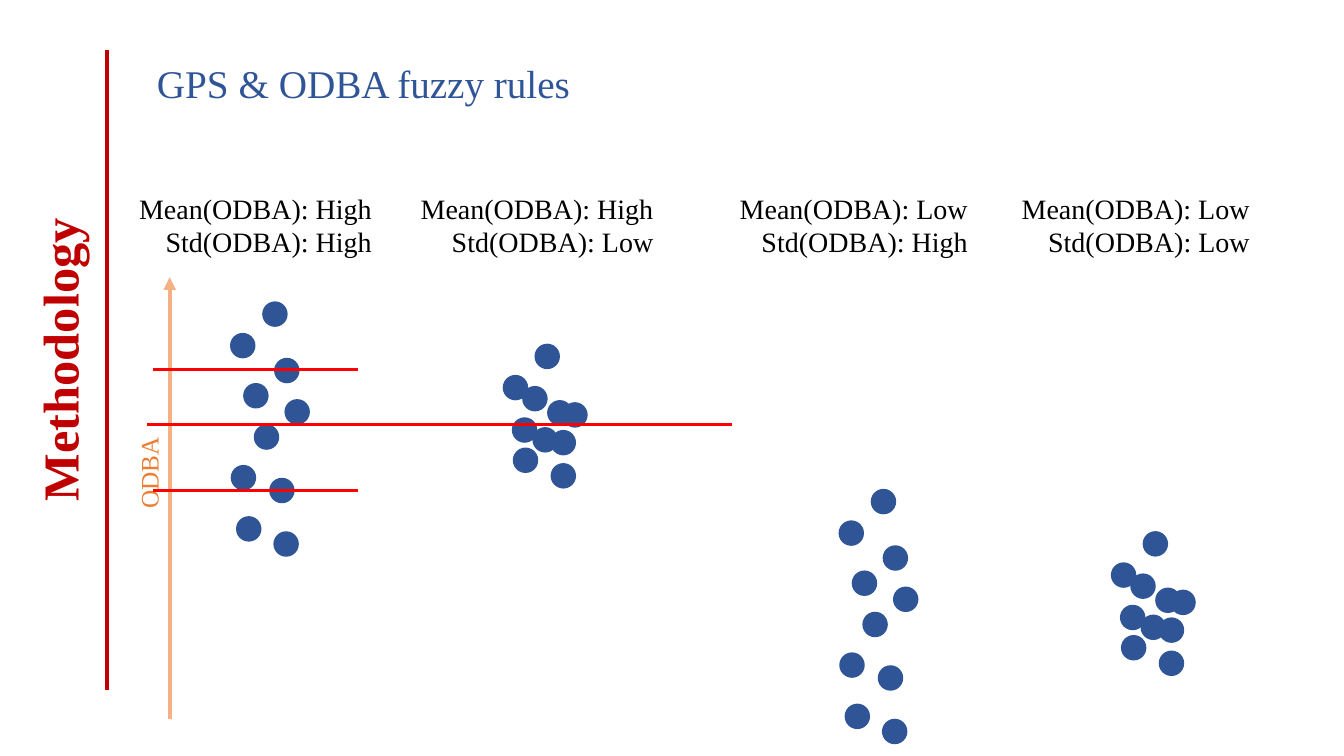
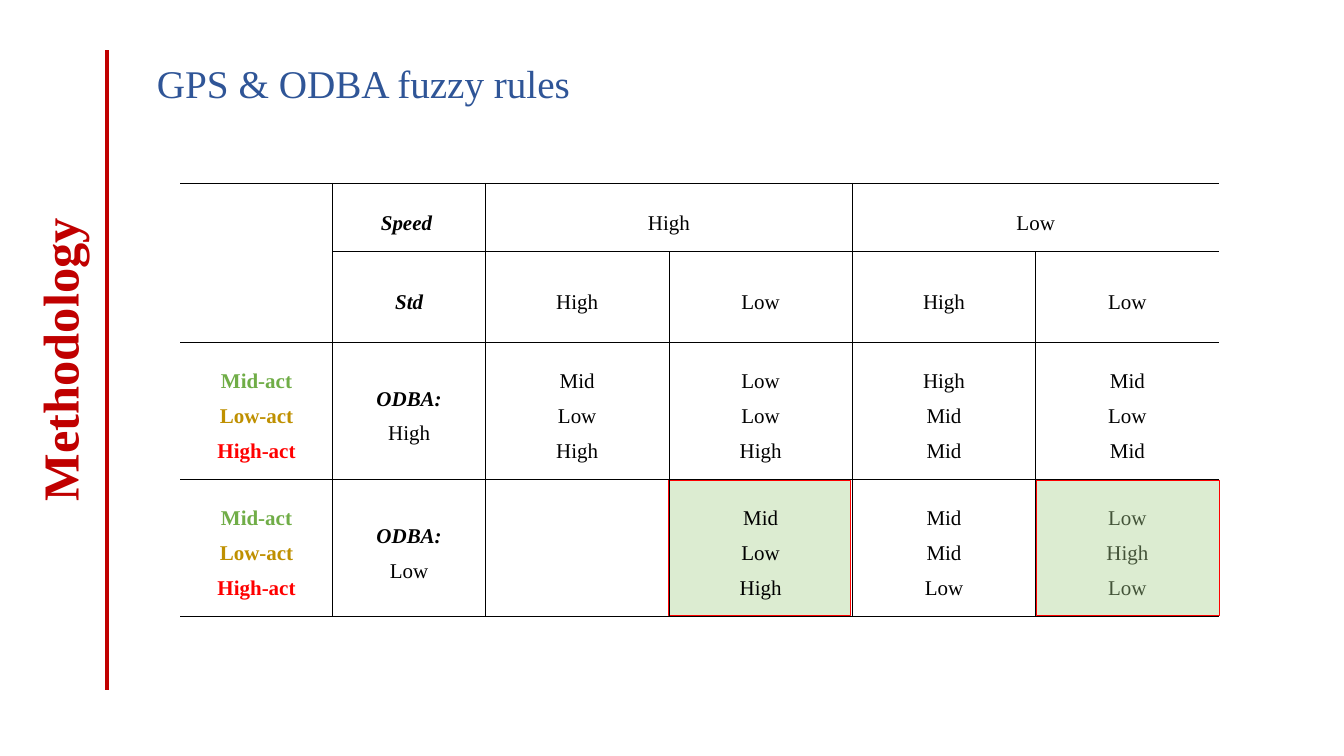
from lxml import etree
from pptx import Presentation
from pptx.dml.color import RGBColor
from pptx.enum.shapes import MSO_CONNECTOR, MSO_SHAPE
from pptx.enum.text import MSO_ANCHOR, PP_ALIGN
from pptx.oxml import parse_xml
from pptx.oxml.ns import nsdecls, qn
from pptx.util import Pt

# Shared look
FONT = "Times New Roman"
COLORS = {
    "section": "C00000", "blue": "2F5597", "text": "000000", "axis": "F4B183",
    "axis_label": "ED7D31", "red": "FF0000", "highlight": "A9D18E",
    "mid": "70AD47", "low": "BF9000",
}
SECTION = "Methodology"
TITLE = "GPS & ODBA fuzzy rules"

# Slide 1 content: dot offsets from each cluster's corner
DOT = 18.2
SPREAD = [(9.4, 58.3), (17, 87.8), (0.5, 116.8), (28, 126), (31.5, 40.3),
          (0, 22.5), (23, 0), (4.3, 153.4), (31, 164.2), (38.9, 69.8)]
COMPACT = [(13.9, 30.2), (21.2, 59.6), (6.5, 52.6), (34.2, 61.6), (31.7, 40.3),
           (0, 22.3), (22.7, 0), (7.2, 74.2), (34.2, 85.3), (42.5, 41.8)]
LABEL_WIDTH = 196
# mean, std, label's right edge, dots, cluster corner
CASES = [
    ("High", "High", 272.9, SPREAD, (164.4, 215.3)),
    ("High", "Low", 474.1, COMPACT, (359.3, 245.5)),
    ("Low", "High", 698.8, SPREAD, (599.3, 349.2)),
    ("Low", "Low", 900.3, COMPACT, (793.9, 379.4)),
]
LEVELS = [(105.1, 523.4, 303.1), (109.4, 255.6, 263.7), (109.4, 255.6, 350.2)]

# Slide 2 content
ACTIVITIES = "Mid-act\nLow-act\nHigh-act"
RULES = [
    ["", "Speed ", "High", "", "Low", ""],
    ["", "Std", "High", "Low", "High", "Low"],
    [ACTIVITIES, "ODBA:\nHigh", "Mid\nLow\nHigh", "Low\nLow\nHigh",
     "High\nMid\nMid", "Mid\nLow\nMid"],
    [ACTIVITIES, "ODBA:\nLow", "", "Mid\nLow\nHigh", "Mid\nMid\nLow",
     "Low\nHigh\nLow"],
]
MERGES = [((0, 0), (1, 0)), ((0, 2), (0, 3)), ((0, 4), (0, 5))]
ACTIVITY_COLORS = {"Mid-act": "mid", "Low-act": "low", "High-act": "red"}
HEADINGS = ("Speed", "Std", "ODBA:")
TABLE_LEFT, TABLE_TOP = 128.9, 130.8
COLUMNS = [108.9, 109.2] + [131.1] * 4
ROWS = [49, 64.6, 98, 98]
NO_STYLE = "{2D5ABB26-0587-4C30-8999-92F81FD0307C}"
HIGHLIGHT_BACK, HIGHLIGHT_FRONT = 477.4, 740.9


def rgb(name):
    return RGBColor.from_string(COLORS[name])


def style(paragraph, size, color, bold=False, italic=False):
    for run in paragraph.runs:
        font = run.font
        font.name, font.size, font.bold, font.italic = FONT, Pt(size), bold, italic
        font.color.rgb = rgb(color)


def add_text(slide, text, box, size, color, bold=False, align=PP_ALIGN.LEFT,
             rotation=0):
    label = slide.shapes.add_textbox(*map(Pt, box))
    label.rotation = rotation
    frame = label.text_frame
    frame.text = text
    frame.word_wrap = True
    for paragraph in frame.paragraphs:
        paragraph.alignment = align
        style(paragraph, size, color, bold)
    return frame


def add_line(slide, start, end, color, width, arrow=False):
    line = slide.shapes.add_connector(MSO_CONNECTOR.STRAIGHT, *map(Pt, start + end))
    line.line.color.rgb = rgb(color)
    line.line.width = Pt(width)
    if arrow:
        etree.SubElement(line.line._get_or_add_ln(), qn("a:tailEnd"), type="triangle")
    etree.SubElement(line._element.spPr, qn("a:effectLst"))


def add_filled(slide, kind, box, color):
    shape = slide.shapes.add_shape(kind, *map(Pt, box))
    shape.shadow.inherit = False
    shape.fill.solid()
    shape.fill.fore_color.rgb = rgb(color)
    shape.line.fill.background()
    return shape


def start_slide(deck):
    slide = deck.slides.add_slide(deck.slide_layouts[6])
    add_text(slide, SECTION, (-78.2, 219.8, 240, 50.4), 36, "section",
             bold=True, rotation=270)
    add_line(slide, (76.3, 36), (76.3, 493.2), "section", 3)
    title = add_text(slide, TITLE, (105.1, 36.5, 500, 72), 28, "blue")
    title.paragraphs[0].line_spacing = 1.07
    return slide


def build_clusters(deck):
    slide = start_slide(deck)
    add_line(slide, (121.3, 513.4), (121.3, 198), "axis", 3, arrow=True)
    for mean, std, right, dots, (x, y) in CASES:
        add_text(slide, f"Mean(ODBA): {mean}\nStd(ODBA): {std}",
                 (right - LABEL_WIDTH, 133, LABEL_WIDTH, 55.4), 20, "text",
                 align=PP_ALIGN.RIGHT)
        for dx, dy in dots:
            add_filled(slide, MSO_SHAPE.OVAL, (x + dx, y + dy, DOT, DOT), "blue")
    add_text(slide, "ODBA", (66.2, 316.1, 80, 28.8), 18, "axis_label", rotation=270)
    for left, right, y in LEVELS:
        add_line(slide, (left, y), (right, y), "red", 2.25)


def add_highlight(slide, left):
    highlight = add_filled(slide, MSO_SHAPE.RECTANGLE, (left, 343.4, 130.3, 96.5),
                           "highlight")
    tint = highlight._element.spPr.find(qn("a:solidFill"))[0]
    etree.SubElement(tint, qn("a:alpha"), val="40000")
    highlight.line.color.rgb = rgb("red")
    highlight.line.width = Pt(0.75)


def set_borders(cell, column):
    # The table stays open on its left and right sides
    outer = {"lnL": column == 0, "lnR": column + cell.span_width == len(COLUMNS)}
    for side in ("lnL", "lnR", "lnT", "lnB"):
        paint = ("<a:noFill/>" if outer.get(side) else
                 f'<a:solidFill><a:srgbClr val="{COLORS["text"]}"/></a:solidFill>')
        cell._tc.get_or_add_tcPr().append(parse_xml(
            f'<a:{side} {nsdecls("a")} w="{Pt(0.45)}">{paint}</a:{side}>'))


def fill_cell(cell, text):
    cell.vertical_anchor = MSO_ANCHOR.MIDDLE
    cell.text_frame.text = text
    for paragraph in cell.text_frame.paragraphs:
        word = paragraph.text.strip()
        heading = word in HEADINGS
        paragraph.alignment = PP_ALIGN.CENTER
        paragraph.line_spacing = 1.5
        style(paragraph, 15, ACTIVITY_COLORS.get(word, "text"),
              bold=heading or word in ACTIVITY_COLORS, italic=heading)


def build_rules(deck):
    slide = start_slide(deck)
    add_highlight(slide, HIGHLIGHT_BACK)
    table = slide.shapes.add_table(
        len(ROWS), len(COLUMNS), Pt(TABLE_LEFT), Pt(TABLE_TOP),
        Pt(sum(COLUMNS)), Pt(sum(ROWS))).table
    table.first_row = table.horz_banding = False
    table._tbl.tblPr.find(qn("a:tableStyleId")).text = NO_STYLE
    for column, width in zip(table.columns, COLUMNS):
        column.width = Pt(width)
    for row, height in zip(table.rows, ROWS):
        row.height = Pt(height)
    for first, last in MERGES:
        table.cell(*first).merge(table.cell(*last))
    for r, texts in enumerate(RULES):
        for c, text in enumerate(texts):
            cell = table.cell(r, c)
            if not cell.is_spanned:
                fill_cell(cell, text)
                set_borders(cell, c)
            cell.fill.background()
    add_highlight(slide, HIGHLIGHT_FRONT)


def main():
    deck = Presentation()
    deck.slide_width, deck.slide_height = Pt(960.48), Pt(540)
    build_clusters(deck)
    build_rules(deck)
    deck.save("out.pptx")


if __name__ == "__main__":
    main()
